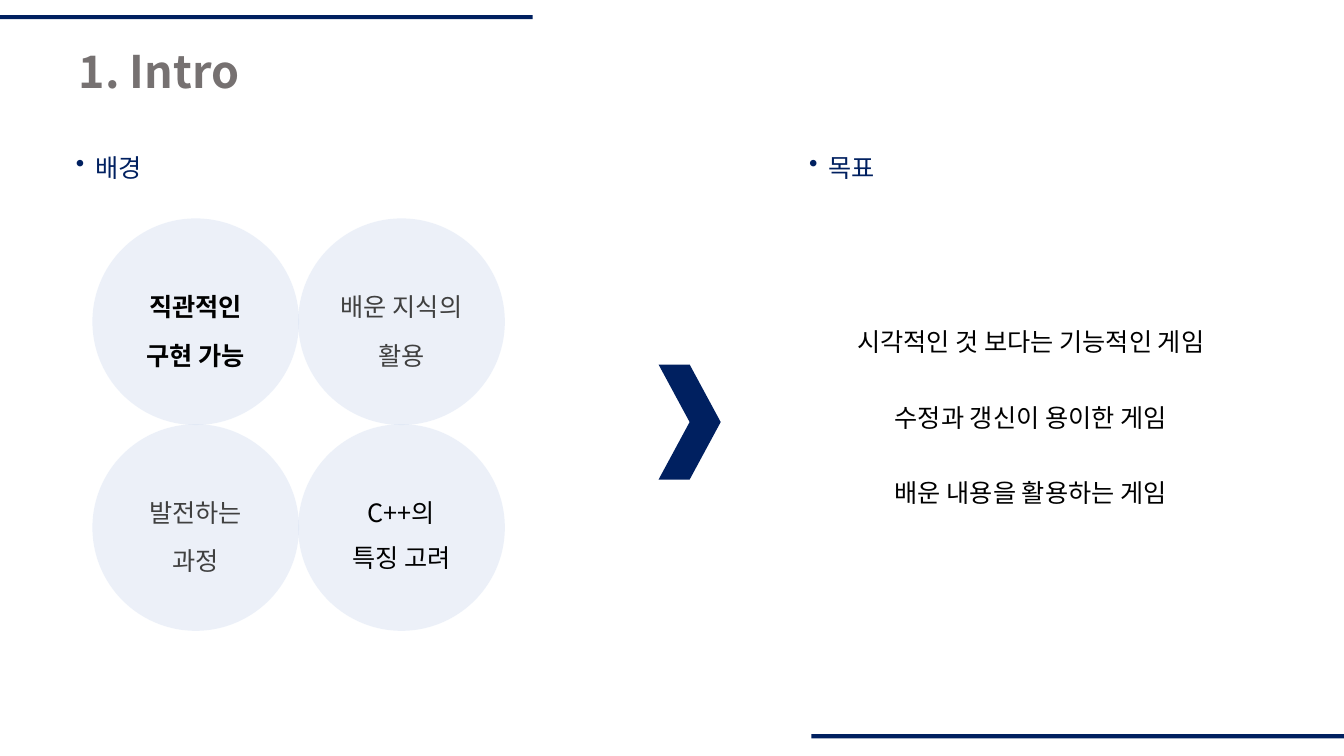
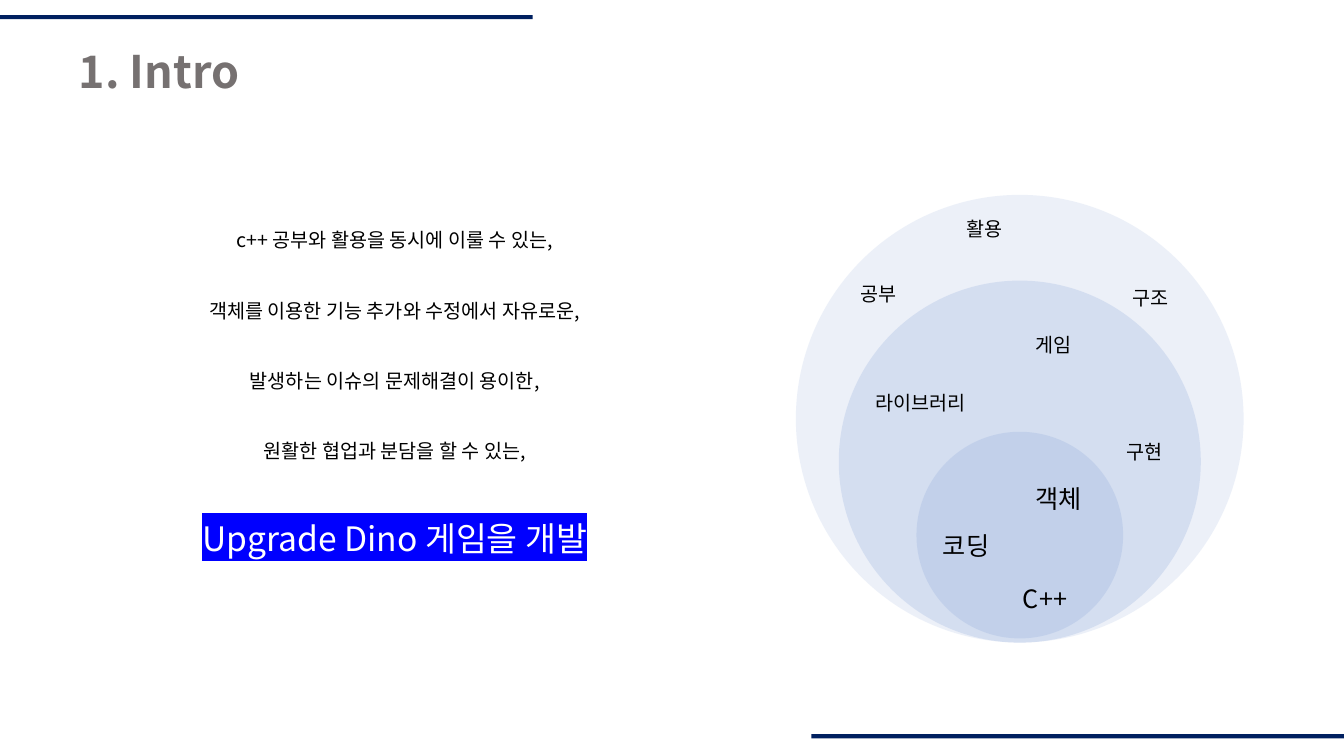
from lxml import etree
from pptx import Presentation
from pptx.dml.color import RGBColor
from pptx.enum.shapes import MSO_SHAPE
from pptx.enum.text import MSO_ANCHOR, PP_ALIGN
from pptx.oxml.ns import qn
from pptx.util import Inches, Pt

RECT, OVAL, CHEVRON = MSO_SHAPE.RECTANGLE, MSO_SHAPE.OVAL, MSO_SHAPE.CHEVRON
LEFT, MID, JUST = PP_ALIGN.LEFT, PP_ALIGN.CENTER, PP_ALIGN.JUSTIFY
FONT = "Noto Sans CJK KR"
INK = {"navy": "002060", "title": "767171", "black": "000000", "soft": "404040",
       "white": "FFFFFF", "mark": "0000FF", "pale": "DAE3F3", "sky": "B4C7E7",
       "blue": "8FAADC"}

# The slide is a grid of 160 columns by 90 rows of square cells.
COLS, ROWS = 160, 90
deck = Presentation()
deck.slide_width, deck.slide_height = Inches(13.333), Inches(7.5)
CELL = deck.slide_height / ROWS


def draw(slide, kind, x, y, w, h, ink=None, alpha=100):
    """Add a filled shape, or a text box when kind is None; sizes in cells."""
    box = [round(n * CELL) for n in (x, y, w, h)]
    if kind is None:
        item = slide.shapes.add_textbox(*box)
    else:
        item = slide.shapes.add_shape(kind, *box)
        item.shadow.inherit = False
        item.fill.solid()
        item.fill.fore_color.rgb = RGBColor.from_string(INK[ink])
        item.line.fill.background()
        if alpha < 100:
            tone = item.fill._xPr.find(".//" + qn("a:srgbClr"))
            etree.SubElement(tone, qn("a:alpha"), val=str(alpha * 1000))
    item.text_frame.word_wrap = True
    return item


def write(item, lines, size, ink="black", bold=False, align=MID, lead=None):
    """Write one paragraph per line and return the paragraphs."""
    frame = item.text_frame
    paras = []
    for i, line in enumerate(lines):
        para = frame.add_paragraph() if i else frame.paragraphs[0]
        para.alignment = align
        if lead:
            para.line_spacing = lead
        run = para.add_run()
        run.text = line
        run.font.size, run.font.bold, run.font.name = Pt(size), bold, FONT
        run.font.color.rgb = RGBColor.from_string(INK[ink])
        etree.SubElement(run.font._element, qn("a:ea"), typeface=FONT)
        paras.append(para)
    return paras


# Shared bands and title
slides = [deck.slides.add_slide(deck.slide_layouts[6]) for _ in range(2)]
BAND = 63.4
for slide in slides:
    draw(slide, RECT, 0, 1.8, BAND, 0.5, "navy")
    draw(slide, RECT, COLS - BAND, 87.4, BAND, 0.5, "navy")
    write(draw(slide, None, 8.2, 4.6, 33.7, 7.7), ["1. Intro"], 32, "title", True, LEFT)
intro, plan = slides

# Slide 1: background circles lead to goals
STEP, DISC = 24.5, 24.6
causes = [
    (0, 0, ["직관적인", "구현 가능"], "black", True, 1.6),
    (0, 1, ["발전하는", "과정"], "soft", False, 1.6),
    (1, 1, ["C++의", "특징 고려"], "black", False, 1.5),
    (1, 0, ["배운 지식의", "활용"], "soft", False, 1.6),
]
for col, row, lines, ink, bold, lead in causes:
    disc = draw(intro, OVAL, 11 + col * STEP, 26 + row * STEP, DISC, DISC, "pale", 50)
    disc.text_frame.vertical_anchor = MSO_ANCHOR.MIDDLE
    write(disc, lines, 18, ink, bold, lead=lead)

for x, head in ((8.2, "배경"), (95.5, "목표")):
    item = draw(intro, None, x, 17.6, 45.4, 5.3)
    frame = item.text_frame
    frame.margin_left = frame.margin_right = Inches(0.07)
    frame.margin_top = frame.margin_bottom = Inches(0.04)
    para = write(item, [head], 18, "navy", align=JUST)[0]
    para.space_after = Pt(3)
    props = para._p.get_or_add_pPr()
    props.set("marL", str(Inches(0.19)))
    props.set("indent", str(-Inches(0.19)))
    etree.SubElement(props, qn("a:buChar"), char="•")

goals = draw(intro, None, 91.1, 33, 63.2, 33.4)
goals.text_frame.margin_top = Inches(0.04)
write(goals, ["시각적인 것 보다는 기능적인 게임", "수정과 갱신이 용이한 게임",
              "배운 내용을 활용하는 게임"], 18, lead=2.5)
draw(intro, CHEVRON, 78.4, 43.4, 7.4, 13.7, "navy")

# Slide 2: nested rings, smallest on top
AXIS = 121.4
for size, foot, ink in ((53.3, 76.5, "sky"), (43.1, 76.5, "blue"), (DISC, 76, "blue")):
    draw(plan, OVAL, AXIS - size / 2, foot - size, size, size, ink, 25)

WIDE = 14
words = [
    ("C++", 124.4, 68.9, 18), ("코딩", 115, 62.6, 18), ("객체", 126, 57, 18),
    ("라이브러리", 109.6, 46, 14), ("구조", 137, 33.4, 14), ("활용", 117.2, 25.2, 14),
    ("공부", 104.6, 33, 14), ("게임", 125.4, 39.1, 14), ("구현", 136.2, 51.8, 14),
]
for word, x, y, size in words:
    write(draw(plan, None, x - WIDE / 2, y, WIDE, size * 0.28), [word], size)

pitch = draw(plan, None, 8.2, 25.2, 77.6, 41.8)
paras = write(pitch, ["c++ 공부와 활용을 동시에 이룰 수 있는,",
                      "객체를 이용한 기능 추가와 수정에서 자유로운,",
                      "발생하는 이슈의 문제해결이 용이한,",
                      "원활한 협업과 분담을 할 수 있는,",
                      "Upgrade Dino 게임을 개발"], 14, lead=1.5)
for para in paras[1:]:
    para.space_before = Pt(25)
font = paras[-1].runs[0].font
font.size = Pt(24)
font.color.rgb = RGBColor.from_string(INK["white"])
mark = etree.Element(qn("a:highlight"))
etree.SubElement(mark, qn("a:srgbClr"), val=INK["mark"])
font._element.find(qn("a:solidFill")).addnext(mark)

deck.save("out.pptx")
